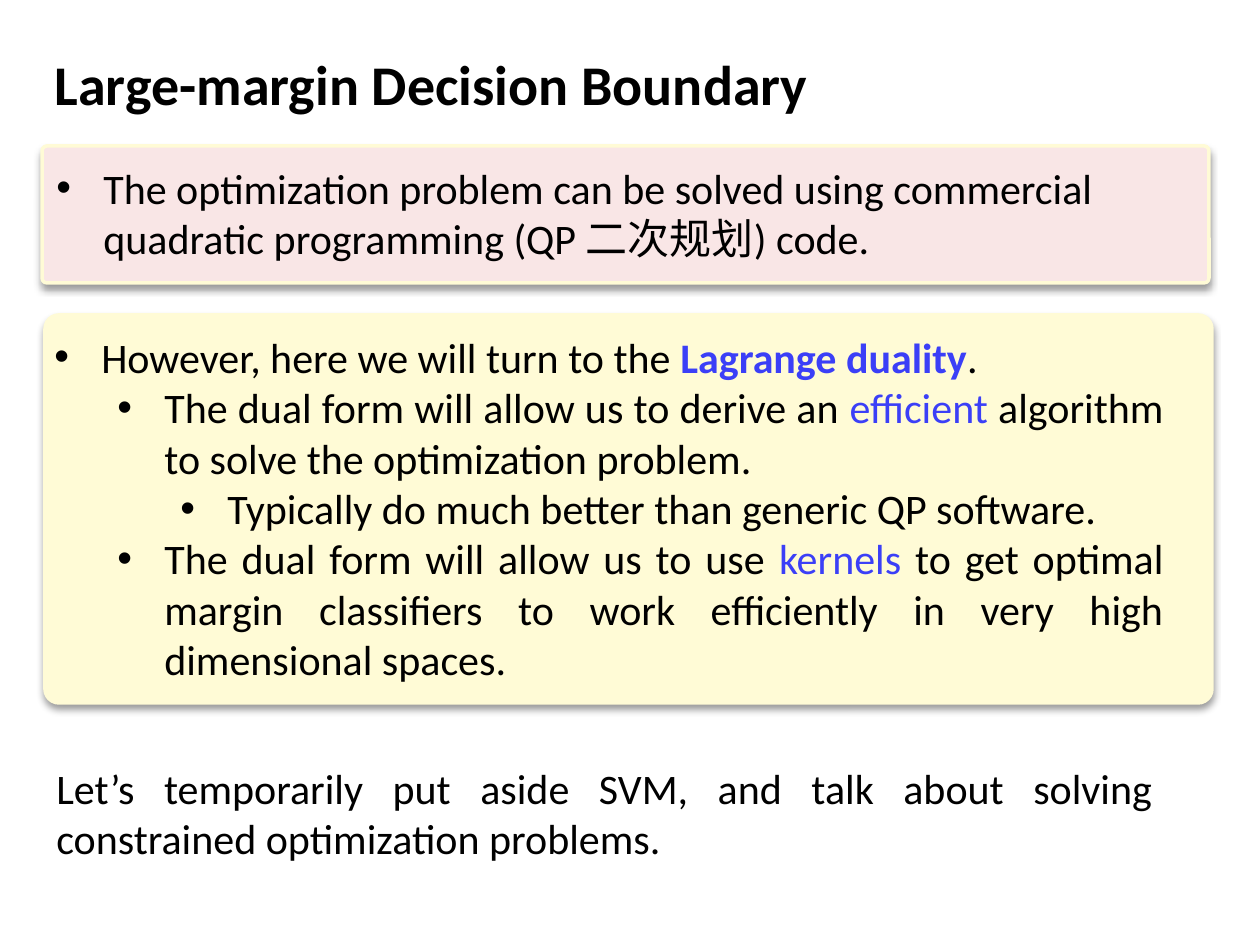
from dataclasses import dataclass

from lxml import etree
from pptx import Presentation
from pptx.dml.color import RGBColor
from pptx.enum.shapes import MSO_SHAPE
from pptx.enum.text import MSO_ANCHOR, MSO_AUTO_SIZE, PP_ALIGN
from pptx.oxml.ns import qn
from pptx.util import Emu, Pt

ROUNDED = MSO_SHAPE.ROUNDED_RECTANGLE
TOP = MSO_ANCHOR.TOP
FIXED = MSO_AUTO_SIZE.NONE
LEFT, JUSTIFY = PP_ALIGN.LEFT, PP_ALIGN.JUSTIFY
PX_PER_INCH = 126


@dataclass(frozen=True)
class Theme:
    font: str = "Calibri"
    title_size: int = 32
    body_size: int = 24
    ink: str = "000000"
    accent: str = "3B3FF7"
    cream: str = "FFFBD6"
    rose: str = "F9E6E6"
    outline: int = 2
    hanging: int = 47
    level_step: int = 63


THEME = Theme()
EMPHASIS = {"color": THEME.accent}
STRONG = {"color": THEME.accent, "bold": True}


def px(length):
    return Emu(round(length * 914400 / PX_PER_INCH))


def place(shape, box):
    for side, length in zip(("left", "top", "width", "height"), box):
        setattr(shape, side, px(length))


def set_up_frame(frame, wrap):
    settings = {"word_wrap": wrap, "auto_size": FIXED, "vertical_anchor": TOP}
    for name, value in settings.items():
        setattr(frame, name, value)


def add_run(paragraph, text, color=THEME.ink, size=THEME.body_size, bold=False):
    run = paragraph.add_run()
    run.text = text
    settings = {"name": THEME.font, "size": Pt(size), "bold": bold}
    for name, value in settings.items():
        setattr(run.font, name, value)
    run.font.color.rgb = RGBColor.from_string(color)


def add_bullet(paragraph, level):
    paragraph.level = level
    properties = paragraph._p.get_or_add_pPr()
    properties.set("marL", str(px(THEME.hanging + level * THEME.level_step)))
    properties.set("indent", str(-px(THEME.hanging)))
    etree.SubElement(properties, qn("a:buFont"), typeface="Arial")
    etree.SubElement(properties, qn("a:buChar"), char="•")


def add_title(slide, text, box):
    title = slide.shapes.title
    place(title, box)
    set_up_frame(title.text_frame, wrap=False)
    heading = title.text_frame.paragraphs[0]
    heading.alignment = LEFT
    heading.line_spacing = 1.5
    add_run(heading, text, size=THEME.title_size, bold=True)


def add_card(slide, box, fill):
    card = slide.shapes.add_shape(ROUNDED, *map(px, box))
    card.adjustments[0] = 0.036
    card.fill.solid()
    card.fill.fore_color.rgb = RGBColor.from_string(fill)
    card.line.color.rgb = RGBColor.from_string(THEME.cream)
    card.line.width = Pt(THEME.outline)
    # Soft shadow straight below the card
    card.shadow.inherit = False
    effects = card._element.spPr.find(qn("a:effectLst"))
    shadow = etree.SubElement(effects, qn("a:outerShdw"), blurRad=str(Pt(4)),
                              dist=str(Pt(3)), dir="5400000", rotWithShape="0")
    color = etree.SubElement(shadow, qn("a:srgbClr"), val=THEME.ink)
    etree.SubElement(color, qn("a:alpha"), val="40000")


def add_text(slide, box, paragraphs):
    """Each paragraph is (bullet level or None, alignment, [(text, style)])."""
    frame = slide.shapes.add_textbox(*map(px, box)).text_frame
    set_up_frame(frame, wrap=True)
    for index, (level, alignment, runs) in enumerate(paragraphs):
        paragraph = frame.add_paragraph() if index else frame.paragraphs[0]
        paragraph.alignment = alignment
        if level is not None:
            add_bullet(paragraph, level)
        for text, style in runs:
            add_run(paragraph, text, **style)


def main():
    deck = Presentation()
    deck.slide_width, deck.slide_height = px(1260), px(945)
    slide = deck.slides.add_slide(deck.slide_layouts[5])
    add_title(slide, "Large-margin Decision Boundary", (42, 10, 785, 105))

    # Solving with existing quadratic programming code
    add_card(slide, (42, 146, 1167, 137), THEME.rose)
    add_text(slide, (44, 156, 1187, 115), [
        (0, LEFT, [("The optimization problem can be solved using commercial "
                    "quadratic programming (QP 二次规划) code.", {})]),
    ])

    # Reasons for the dual form
    add_card(slide, (45, 315, 1167, 388), THEME.cream)
    add_text(slide, (42, 325, 1134, 420), [
        (0, LEFT, [("However, here we will turn to the ", {}),
                   ("Lagrange duality", STRONG), (".", {})]),
        (1, JUSTIFY, [("The dual form will allow us to derive an ", {}),
                      ("efficient", EMPHASIS),
                      (" algorithm to solve the optimization problem.", {})]),
        (2, JUSTIFY, [("Typically do much better than generic QP software.", {})]),
        (1, JUSTIFY, [("The dual form will allow us to use ", {}),
                      ("kernels", EMPHASIS),
                      (" to get optimal margin classifiers to work efficiently "
                       "in very high dimensional spaces.", {})]),
    ])

    # Next step
    add_text(slide, (44, 756, 1121, 115), [
        (None, JUSTIFY, [("Let’s temporarily put aside SVM, and talk about "
                          "solving constrained optimization problems.", {})]),
    ])
    deck.save("out.pptx")


if __name__ == "__main__":
    main()
